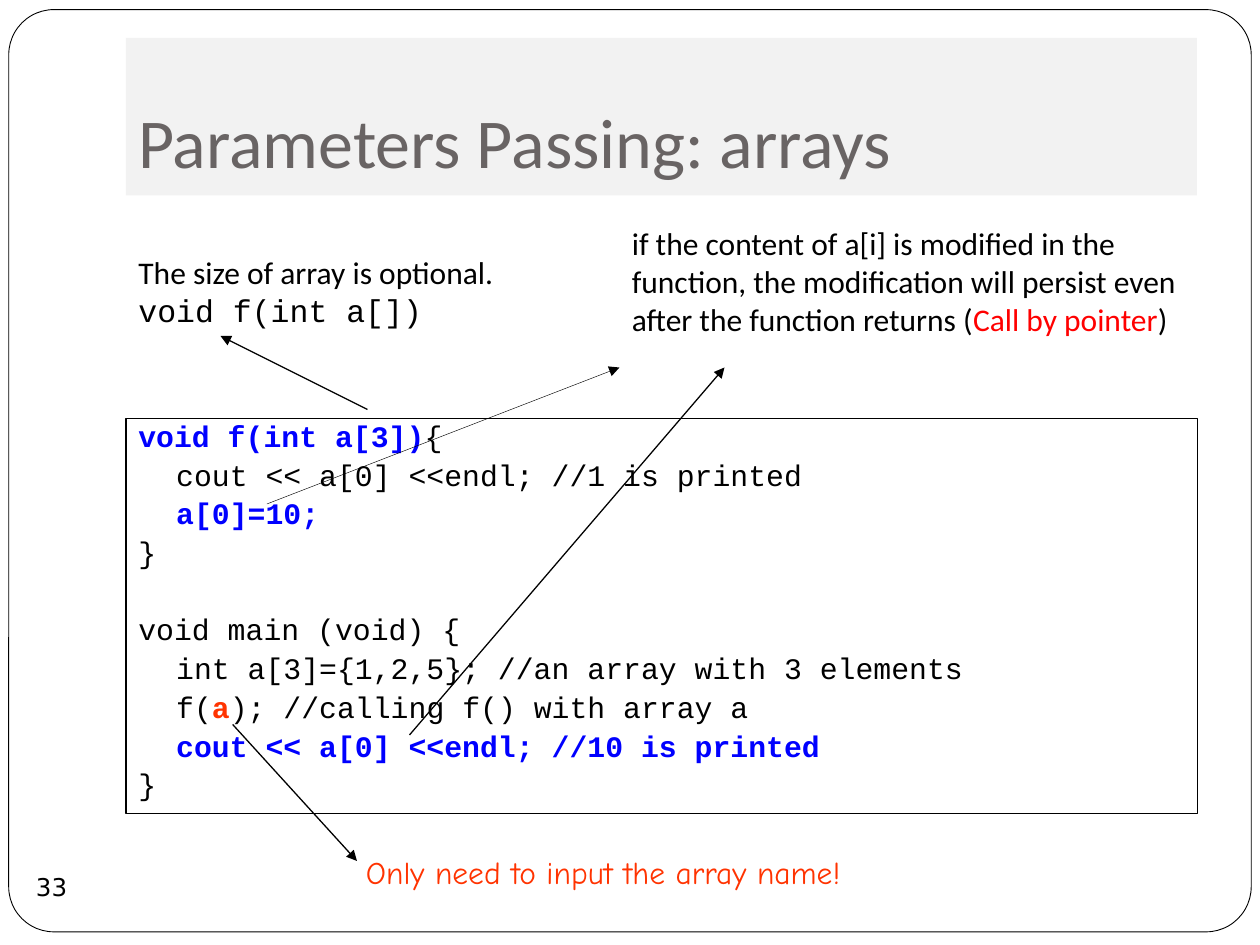
from lxml import etree
from pptx import Presentation
from pptx.dml.color import RGBColor
from pptx.enum import shapes, text
from pptx.oxml import ns
from pptx.util import Pt

COLORS = {
    "black": "000000", "white": "FFFFFF", "band": "F2F2F2", "title": "696464",
    "blue": "0000FF", "red": "FF0000", "orange": "FF3300",
}
CODE_FONT = "Courier New"
CODE_INDENT = 21.6
CODE_GAP = 5.8
CODE_PITCH = 22.1


class SlideBuilder:
    """Hold the style and the current slide, and draw each kind of element."""

    def __init__(self, slide, font="Calibri", size=18):
        self.slide = slide
        self.font = font
        self.size = size

    def color(self, name):
        return RGBColor.from_string(COLORS[name])

    def box(self, kind, bounds, fill=None, line=None):
        shape = self.slide.shapes.add_shape(kind, *map(Pt, bounds))
        shape.shadow.inherit = False
        if fill:
            shape.fill.solid()
            shape.fill.fore_color.rgb = self.color(fill)
        else:
            shape.fill.background()
        if line:
            shape.line.color.rgb = self.color("black")
            shape.line.width = Pt(line)
        else:
            shape.line.fill.background()
        return shape

    def frame(self, shape, anchor=text.MSO_ANCHOR.TOP, wrap=True, insets=(7.2, 3.6, 7.2, 3.6)):
        frame = shape.text_frame
        frame.word_wrap = wrap
        frame.vertical_anchor = anchor
        (frame.margin_left, frame.margin_top,
         frame.margin_right, frame.margin_bottom) = map(Pt, insets)
        return frame

    def add_runs(self, paragraph, runs, font=None, size=None, align=text.PP_ALIGN.LEFT):
        paragraph.alignment = align
        for words, color, bold in runs:
            run = paragraph.add_run()
            run.text = words
            run.font.name = font or self.font
            run.font.size = Pt(size or self.size)
            run.font.bold = bold
            run.font.color.rgb = self.color(color)

    def note(self, bounds, lines, wrap=False):
        shape = self.slide.shapes.add_textbox(*map(Pt, bounds))
        frame = self.frame(shape, wrap=wrap)
        for index, (font, runs) in enumerate(lines):
            paragraph = frame.add_paragraph() if index else frame.paragraphs[0]
            self.add_runs(paragraph, runs, font)

    def code(self, bounds, lines):
        frame = self.frame(self.box(shapes.MSO_SHAPE.RECTANGLE, bounds, line=0.75))
        for index, (level, skipped, runs) in enumerate(lines):
            paragraph = frame.add_paragraph() if index else frame.paragraphs[0]
            paragraph.line_spacing = 0.8
            paragraph.space_before = Pt(CODE_GAP + skipped * CODE_PITCH)
            properties = paragraph._p.get_or_add_pPr()
            properties.set("marL", str(Pt(level * CODE_INDENT)))
            properties.set("indent", "0")
            self.add_runs(paragraph, runs, CODE_FONT, 17)

    def arrow(self, start, end, width=0.75):
        connector = self.slide.shapes.add_connector(
            shapes.MSO_CONNECTOR.STRAIGHT, *map(Pt, start + end))
        connector.line.color.rgb = self.color("black")
        connector.line.width = Pt(width)
        etree.SubElement(connector.line._get_or_add_ln(), ns.qn("a:tailEnd"), type="triangle")
        etree.SubElement(connector._element.spPr, ns.qn("a:effectLst"))


def plain(words, color="black"):
    return (words, color, False)


def strong(words, color="blue"):
    return (words, color, True)


def main():
    presentation = Presentation()
    presentation.slide_width, presentation.slide_height = Pt(720), Pt(540)
    slide = presentation.slides.add_slide(presentation.slide_layouts[6])
    builder = SlideBuilder(slide)

    border = builder.box(shapes.MSO_SHAPE.ROUNDED_RECTANGLE,
                         (5, 5.5, 710, 527), "white", 0.5)
    border.adjustments[0] = 0.049

    title = builder.box(shapes.MSO_SHAPE.RECTANGLE, (72, 21.6, 612, 90), "band")
    frame = builder.frame(title, text.MSO_ANCHOR.BOTTOM, insets=(7.2, 3.6, 7.2, 7.2))
    builder.add_runs(frame.paragraphs[0], [plain("Parameters Passing: arrays", "title")], size=40)

    number = builder.box(shapes.MSO_SHAPE.OVAL, (11.5, 489, 36, 36))
    frame = builder.frame(number, text.MSO_ANCHOR.MIDDLE, False, (0, 0, 0, 0))
    builder.add_runs(frame.paragraphs[0], [plain("33")], "DejaVu Sans", 14,
                     text.PP_ALIGN.CENTER)

    builder.code((72, 239, 612.5, 226), [
        (0, 0, [strong("void f(int a[3])"), plain("{")]),
        (1, 0, [plain("cout << a[0] <<endl; //1 is printed")]),
        (1, 0, [strong("a[0]=10;")]),
        (0, 0, [plain("}")]),
        (0, 1, [plain("void main (void) {")]),
        (1, 0, [plain("int a[3]={1,2,5}; //an array with 3 elements")]),
        (1, 0, [plain("f("), strong("a", "orange"),
                plain("); //calling f() with array a")]),
        (1, 0, [strong("cout << a[0] <<endl; //10 is printed")]),
        (0, 0, [plain("}")]),
    ])

    builder.note((72, 141, 225.5, 51), [
        (None, [plain("The size of array is optional.")]),
        (CODE_FONT, [plain("void f(int a[])")]),
    ])
    builder.note((354, 124.5, 330, 72.7), [
        (None, [plain("if the content of a[i] is modified in the function, the "
                      "modification will persist even after the function returns ("),
                plain("Call by pointer", "red"), plain(")")]),
    ], wrap=True)
    builder.note((202, 484, 305, 29), [
        ("Comic Neue", [plain("Only need to input the array name!", "orange")]),
    ])

    builder.arrow((210, 234), (126, 192))
    builder.arrow((152.5, 288), (354, 210), 0.25)
    builder.arrow((234, 420), (414, 210))
    builder.arrow((133, 414), (204, 492))

    presentation.save("out.pptx")


if __name__ == "__main__":
    main()
